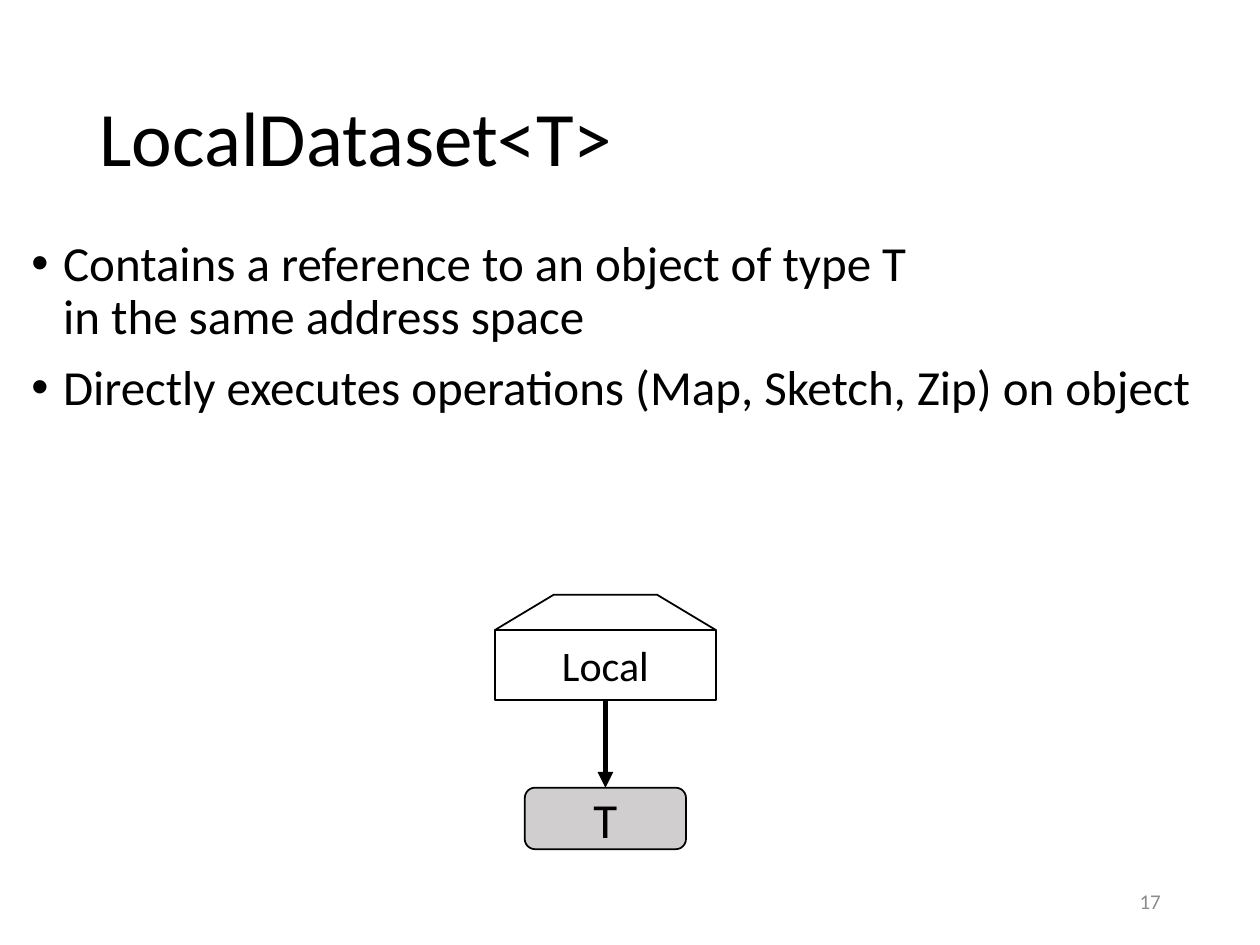
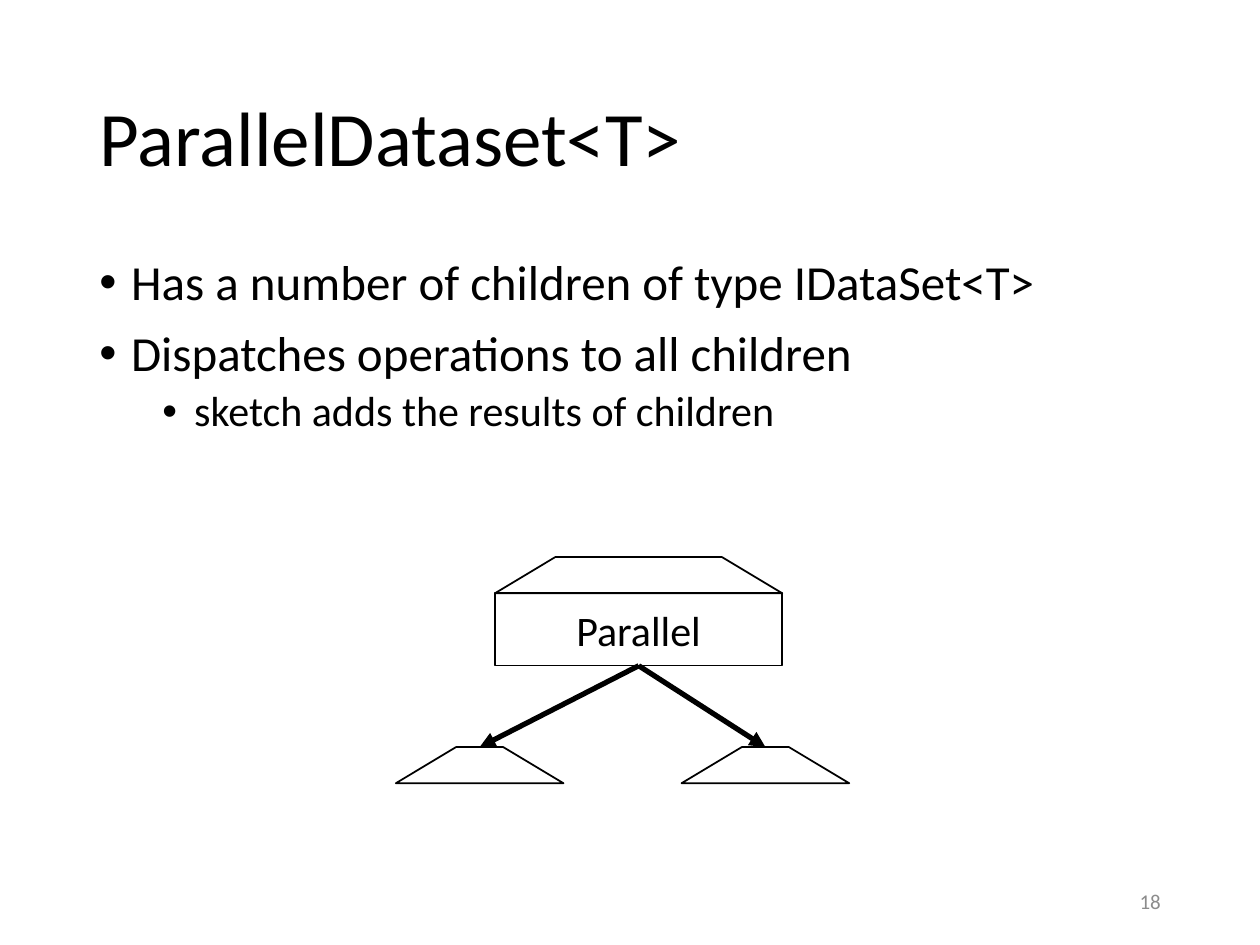
"""Builds two slides on local and parallel datasets."""
from lxml import etree
from pptx import Presentation
from pptx.dml.color import RGBColor
from pptx.enum import shapes, text
from pptx.oxml import parse_xml
from pptx.oxml.ns import nsdecls, qn
from pptx.util import Cm, Pt

BLACK = RGBColor(0x00, 0x00, 0x00)
GREY = RGBColor(0xD0, 0xCE, 0xCE)
NUMBER_GREY = RGBColor(0x8C, 0x8C, 0x8C)
FONT = "Calibri"
FIRST_NUMBER = 17
LEVELS = [(28, 10, 0.64), (24, 5, 1.91)]
HANGING = 0.64


class Deck:
    def __init__(self):
        self.prs = Presentation()
        self.prs.slide_width, self.prs.slide_height = Cm(25.4), Cm(19.05)
        self.prs.element.set("firstSlideNum", str(FIRST_NUMBER))
        self.s = None

    def place(self, sp, left, top, width, height):
        sp.left, sp.top, sp.width, sp.height = map(Cm, (left, top, width, height))

    def style(self, p, size):
        for r in p.runs:
            r.font.name, r.font.size = FONT, Pt(size)
            r.font.color.rgb = BLACK

    def slide(self, title):
        self.s = self.prs.slides.add_slide(self.prs.slide_layouts[1])
        sp = self.s.shapes.title
        self.place(sp, 1.75, 1.02, 21.89, 3.68)
        tf = sp.text_frame
        tf.text = title
        tf.auto_size = text.MSO_AUTO_SIZE.NONE
        tf.vertical_anchor = text.MSO_ANCHOR.MIDDLE
        p = tf.paragraphs[0]
        p.alignment, p.line_spacing = text.PP_ALIGN.LEFT, 0.9
        self.style(p, 44)
        self.number()

    def number(self):
        sp = self.s.shapes.add_textbox(Cm(17.93), Cm(17.65), Cm(5.72), Cm(1.02))
        tf = sp.text_frame
        tf.word_wrap = True
        tf.vertical_anchor = text.MSO_ANCHOR.MIDDLE
        p = tf.paragraphs[0]
        p.alignment = text.PP_ALIGN.RIGHT
        number = FIRST_NUMBER + len(self.prs.slides) - 1
        p._p.append(parse_xml(
            f'<a:fld {nsdecls("a")} id="{{B6F15528-21DE-4FAA-801E-634DDDAF4B2B}}" type="slidenum">'
            f'<a:rPr lang="en-US" sz="1200"><a:solidFill><a:srgbClr val="{NUMBER_GREY}"/></a:solidFill>'
            f'<a:latin typeface="{FONT}"/></a:rPr><a:t>{number}</a:t></a:fld>'))

    def bullets(self, box, items):
        sp = self.s.placeholders[1]
        self.place(sp, *box)
        tf = sp.text_frame
        tf.auto_size = text.MSO_AUTO_SIZE.NONE
        tf.vertical_anchor = text.MSO_ANCHOR.TOP
        for i, (level, line) in enumerate(items):
            p = tf.add_paragraph() if i else tf.paragraphs[0]
            size, before, margin = LEVELS[level]
            p.text, p.level, p.line_spacing = line, level, 0.9
            p.space_before = Pt(before if i else 0)
            pPr = p._p.get_or_add_pPr()
            pPr.set("marL", str(Cm(margin)))
            pPr.set("indent", str(-Cm(HANGING)))
            etree.SubElement(pPr, qn("a:buFont")).set("typeface", "Arial")
            etree.SubElement(pPr, qn("a:buChar")).set("char", "•")
            self.style(p, size)

    def shape(self, kind, box, label="", size=24, fill=None, wrap=True):
        sp = self.s.shapes.add_shape(kind, *map(Cm, box))
        sp.shadow.inherit = False
        if fill is None:
            sp.fill.background()
        else:
            sp.fill.solid()
            sp.fill.fore_color.rgb = fill
        sp.line.color.rgb, sp.line.width = BLACK, Pt(1)
        if label:
            tf = sp.text_frame
            tf.text, tf.word_wrap = label, wrap
            tf.vertical_anchor = text.MSO_ANCHOR.MIDDLE
            tf.paragraphs[0].alignment = text.PP_ALIGN.CENTER
            self.style(tf.paragraphs[0], size)
        return sp

    def roof(self, left, top, width, height):
        sp = self.shape(shapes.MSO_SHAPE.TRAPEZOID, (left, top, width, height))
        sp.adjustments[0] = 1.667
        return sp

    def house(self, left, top, width, roof_height, label):
        self.roof(left, top, width, roof_height)
        box = (left, top + roof_height, width, 2 * roof_height)
        return self.shape(shapes.MSO_SHAPE.RECTANGLE, box, label, wrap=False)

    def arrow(self, start, end):
        c = self.s.shapes.add_connector(shapes.MSO_CONNECTOR.STRAIGHT, 0, 0, 0, 0)
        c.begin_connect(start, 2)
        c.end_connect(end, 0)
        c.line.color.rgb, c.line.width = BLACK, Pt(3)
        etree.SubElement(c.line._get_or_add_ln(), qn("a:tailEnd")).set("type", "triangle")
        etree.SubElement(c._element.spPr, qn("a:effectLst"))


def main():
    deck = Deck()

    deck.slide("LocalDataset<T>")
    deck.bullets((0.38, 4.7, 24.03, 6.05), [
        (0, "Contains a reference to an object of type T\vin the same address space"),
        (0, "Directly executes operations (Map, Sketch, Zip) on object"),
    ])
    local = deck.house(9.98, 11.99, 4.45, 0.71, "Local")
    target = deck.shape(shapes.MSO_SHAPE.ROUNDED_RECTANGLE, (10.58, 15.88, 3.25, 1.24),
                        "T", 28, GREY)
    deck.arrow(local, target)

    deck.slide("ParallelDataset<T>")
    deck.bullets((1.75, 5.08, 22.38, 5.26), [
        (0, "Has a number of children of type IDataSet<T>"),
        (0, "Dispatches operations to all children"),
        (1, "sketch adds the results of children"),
    ])
    parallel = deck.house(9.98, 11.23, 5.79, 0.73, "Parallel")
    for left in (7.98, 13.74):
        deck.arrow(parallel, deck.roof(left, 15.06, 3.38, 0.73))

    deck.prs.save("out.pptx")


if __name__ == "__main__":
    main()
